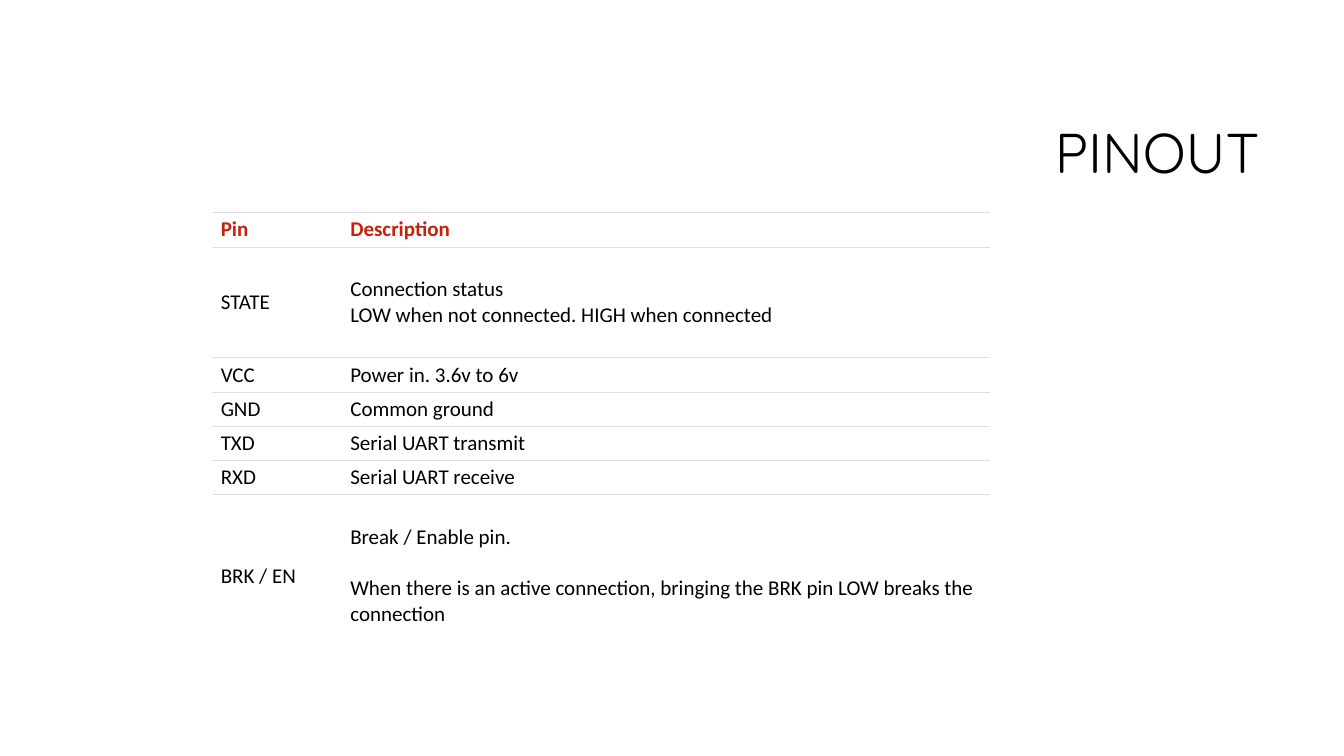
from dataclasses import dataclass

from lxml import etree
from pptx import Presentation
from pptx.dml.color import RGBColor
from pptx.enum.text import MSO_ANCHOR, PP_ALIGN
from pptx.oxml.ns import qn
from pptx.util import Inches, Pt

MIDDLE = MSO_ANCHOR.MIDDLE
RIGHT = PP_ALIGN.RIGHT
BLANK_LAYOUT = 6


@dataclass(frozen=True)
class Theme:
    title_font: str = "Quicksand"
    body_font: str = "Calibri"
    title_size: float = 40
    body_size: float = 15
    paragraph_gap: float = 18.3
    rule_width: float = 0.6
    rule: str = "DDDDDD"
    text: str = "000000"
    header: str = "C4220D"
    background: str = "FFFFFF"


THEME = Theme()

# Each row: height, pin name, paragraphs of its description
PIN_ROWS = [
    (0.34, "Pin", ["Description"]),
    (1.1, "STATE", ["Connection status\nLOW when not connected. HIGH when connected"]),
    (0.34, "VCC", ["Power in. 3.6v to 6v"]),
    (0.34, "GND", ["Common ground"]),
    (0.34, "TXD", ["Serial UART transmit"]),
    (0.34, "RXD", ["Serial UART receive"]),
    (1.61, "BRK / EN", [
        "Break / Enable pin.",
        "When there is an active connection, bringing the BRK pin LOW breaks the connection",
    ]),
]
PIN_COLUMN_SHARE = 1 / 6


def style_font(font, name, size, color, bold=False):
    font.name = name
    font.size = Pt(size)
    font.bold = bold
    font.color.rgb = RGBColor.from_string(color)


def set_borders(cell, ruled_sides):
    """Rule the named sides of a cell and clear the others."""
    properties = cell._tc.get_or_add_tcPr()
    for position, side in enumerate(("lnL", "lnR", "lnT", "lnB")):
        line = etree.Element(qn(f"a:{side}"), w=str(Pt(THEME.rule_width)))
        if side in ruled_sides:
            fill = etree.SubElement(line, qn("a:solidFill"))
            etree.SubElement(fill, qn("a:srgbClr"), val=THEME.rule)
        else:
            etree.SubElement(line, qn("a:noFill"))
        properties.insert(position, line)


def fill_cell(cell, paragraphs, color, bold):
    cell.fill.solid()
    cell.fill.fore_color.rgb = RGBColor.from_string(THEME.background)
    cell.vertical_anchor = MIDDLE
    cell.margin_left = Inches(0.08)
    cell.margin_right = Inches(0.07)
    cell.margin_top = cell.margin_bottom = Inches(0.04)
    frame = cell.text_frame
    for index, text in enumerate(paragraphs):
        paragraph = frame.add_paragraph() if index else frame.paragraphs[0]
        paragraph.text = text
        style_font(paragraph.font, THEME.body_font, THEME.body_size, color, bold)
        if index:
            paragraph.space_before = Pt(THEME.paragraph_gap)


def add_title(slide, text, left, top, width, height):
    box = slide.shapes.add_textbox(left, top, width, height)
    frame = box.text_frame
    frame.word_wrap = True
    frame.vertical_anchor = MIDDLE
    paragraph = frame.paragraphs[0]
    paragraph.text = text
    paragraph.alignment = RIGHT
    paragraph.line_spacing = 0.9
    style_font(paragraph.font, THEME.title_font, THEME.title_size, THEME.text)


def add_pin_table(slide, left, top, width, height):
    shape = slide.shapes.add_table(len(PIN_ROWS), 2, left, top, width, height)
    table = shape.table
    table.first_row = table.horz_banding = False
    pin_width = int(width * PIN_COLUMN_SHARE)
    table.columns[0].width = pin_width
    table.columns[1].width = width - pin_width
    total = sum(row[0] for row in PIN_ROWS)
    last = len(PIN_ROWS) - 1

    for index, (row_height, pin, description) in enumerate(PIN_ROWS):
        table.rows[index].height = int(height * row_height / total)
        is_header = index == 0
        color = THEME.header if is_header else THEME.text
        ruled_sides = ("lnT",) if index == last else ("lnT", "lnB")
        for column, paragraphs in enumerate(([pin], description)):
            cell = table.cell(index, column)
            fill_cell(cell, paragraphs, color, is_header)
            set_borders(cell, ruled_sides)


def main():
    presentation = Presentation()
    presentation.slide_width = Inches(13.33)
    presentation.slide_height = Inches(7.5)
    slide = presentation.slides.add_slide(presentation.slide_layouts[BLANK_LAYOUT])

    # Title at the upper right, pin table below it
    add_title(slide, "PINOUT", Inches(3.17), Inches(0.84), Inches(9.42), Inches(1.41))
    add_pin_table(slide, Inches(2.11), Inches(2.11), Inches(7.71), Inches(4.41))
    presentation.save("out.pptx")


if __name__ == "__main__":
    main()
